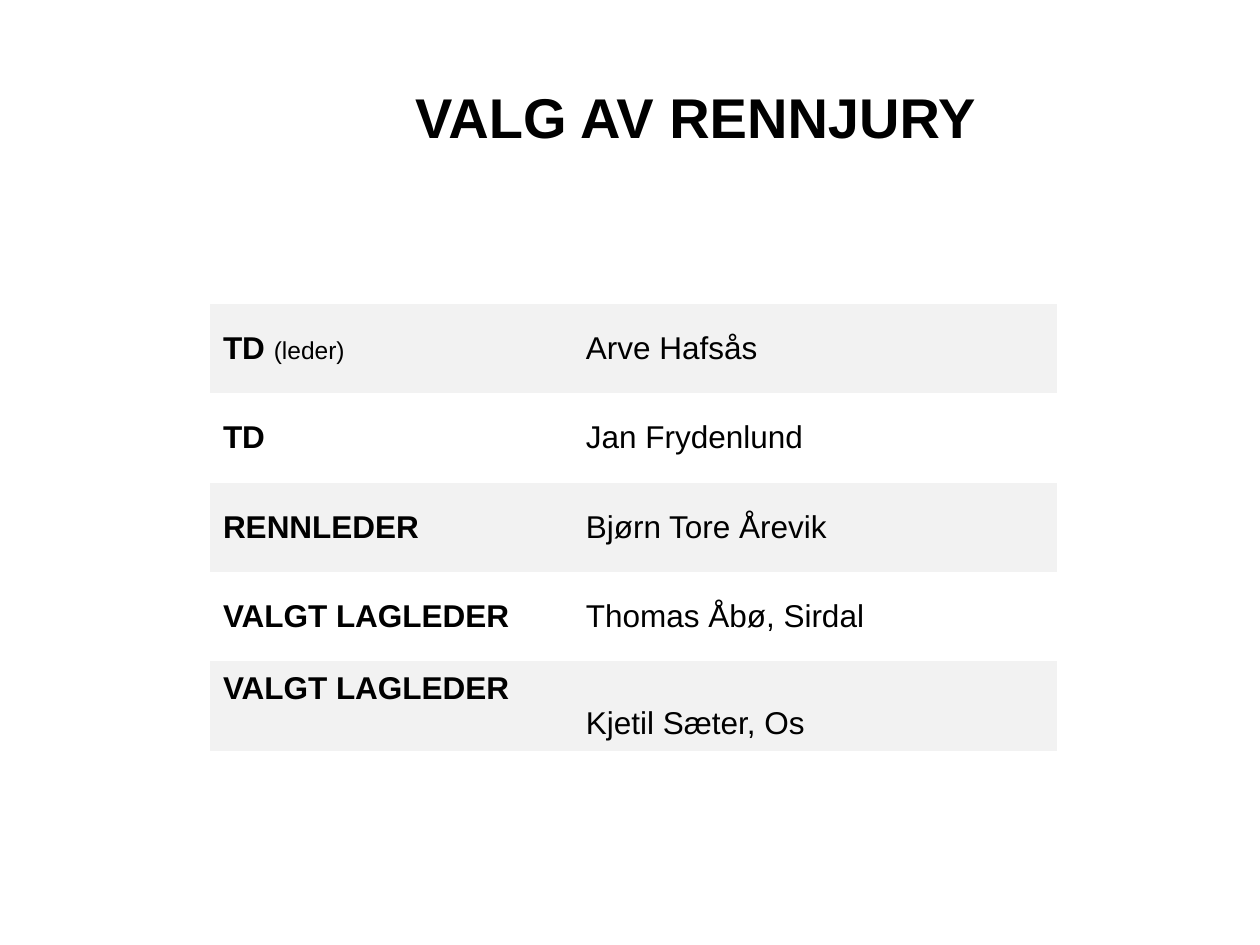
import dataclasses
import typing

import pptx
import pptx.dml.color
import pptx.enum.text
import pptx.oxml.ns
import pptx.util

BLACK = pptx.dml.color.RGBColor(0x00, 0x00, 0x00)
GREY = pptx.dml.color.RGBColor(0xF2, 0xF2, 0xF2)
FONT = "Arial"
WIDE, HIGH = 10, 7.5
UNIT = 0.96
COLS = (3, 4)
ROW = 0.71
LEFT, TOP = 1.67, 2.41
PAD, DROP = 0.05, 0.33
PLAIN = "{2D5ABB26-0587-4C30-8999-92F81FD0307C}"
MIDDLE = pptx.enum.text.MSO_ANCHOR.MIDDLE
CENTER = pptx.enum.text.PP_ALIGN.CENTER


@dataclasses.dataclass(frozen=True)
class Member:
    role: str
    name: str
    note: str = ""
    split: bool = False


JURY = (
    Member("TD", "Arve Hafsås", note="(leder)"),
    Member("TD", "Jan Frydenlund"),
    Member("RENNLEDER", "Bjørn Tore Årevik"),
    Member("VALGT LAGLEDER", "Thomas Åbø, Sirdal"),
    Member("VALGT LAGLEDER", "Kjetil Sæter, Os", split=True),
)


def write(line: typing.Any, text: str, size: float = 18, bold: bool = False) -> None:
    run = line.add_run()
    run.text = text
    run.font.name = FONT
    run.font.size = pptx.util.Pt(size)
    run.font.bold = bold
    run.font.color.rgb = BLACK


def draw_title(slide: typing.Any) -> None:
    title = slide.shapes.title
    title.left = pptx.util.Inches(2.09)
    title.top = pptx.util.Inches(HIGH * 0.04)
    title.width = pptx.util.Inches(6.61)
    title.height = pptx.util.Inches(HIGH / 6)
    frame = title.text_frame
    frame.vertical_anchor = MIDDLE
    frame.margin_left = pptx.util.Inches(0.35)
    line = frame.paragraphs[0]
    line.alignment = CENTER
    write(line, "VALG AV RENNJURY", size=32, bold=True)


def draw_row(cells: typing.Any, member: Member, shade: bool) -> None:
    for cell in cells:
        cell.vertical_anchor = MIDDLE
        cell.margin_top = cell.margin_bottom = pptx.util.Inches(PAD)
        if shade:
            cell.fill.solid()
            cell.fill.fore_color.rgb = GREY
        else:
            cell.fill.background()
    role, name = cells
    if member.split:
        role.margin_bottom = name.margin_top = pptx.util.Inches(DROP)
    line = role.text_frame.paragraphs[0]
    write(line, member.role + (" " if member.note else ""), bold=True)
    if member.note:
        write(line, member.note, size=14)
    write(name.text_frame.paragraphs[0], member.name)


def draw_jury(slide: typing.Any) -> None:
    size = (LEFT, TOP, UNIT * sum(COLS), ROW * len(JURY))
    frame = slide.shapes.add_table(len(JURY), len(COLS), *map(pptx.util.Inches, size))
    table = frame.table
    table.first_row = table.horz_banding = False
    style = frame.element.find(".//" + pptx.oxml.ns.qn("a:tableStyleId"))
    style.text = PLAIN
    for col, share in zip(table.columns, COLS):
        col.width = pptx.util.Inches(UNIT * share)
    for i, (row, member) in enumerate(zip(table.rows, JURY)):
        row.height = pptx.util.Inches(ROW)
        draw_row(tuple(row.cells), member, shade=i % 2 == 0)


def main() -> None:
    deck = pptx.Presentation()
    deck.slide_width = pptx.util.Inches(WIDE)
    deck.slide_height = pptx.util.Inches(HIGH)
    slide = deck.slides.add_slide(deck.slide_layouts.get_by_name("Title Only"))
    draw_title(slide)
    draw_jury(slide)
    deck.save("out.pptx")


if __name__ == "__main__":
    main()
